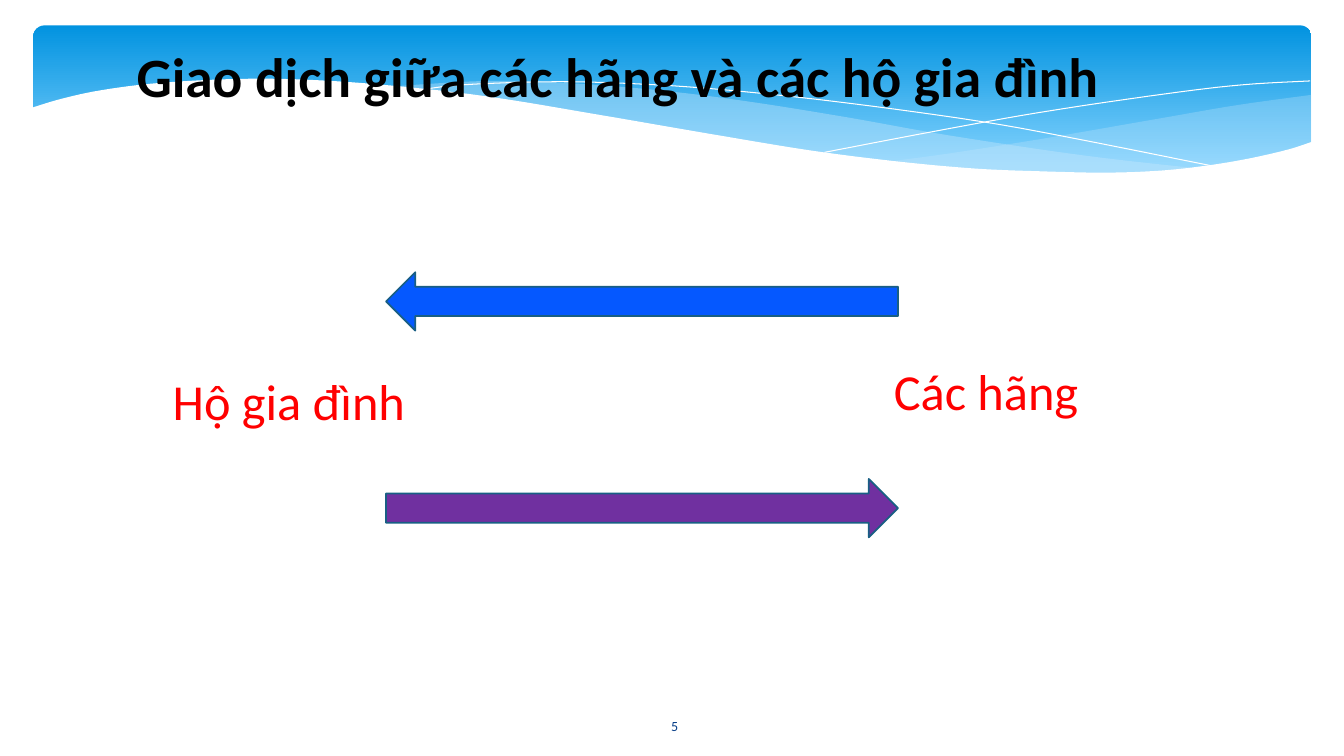
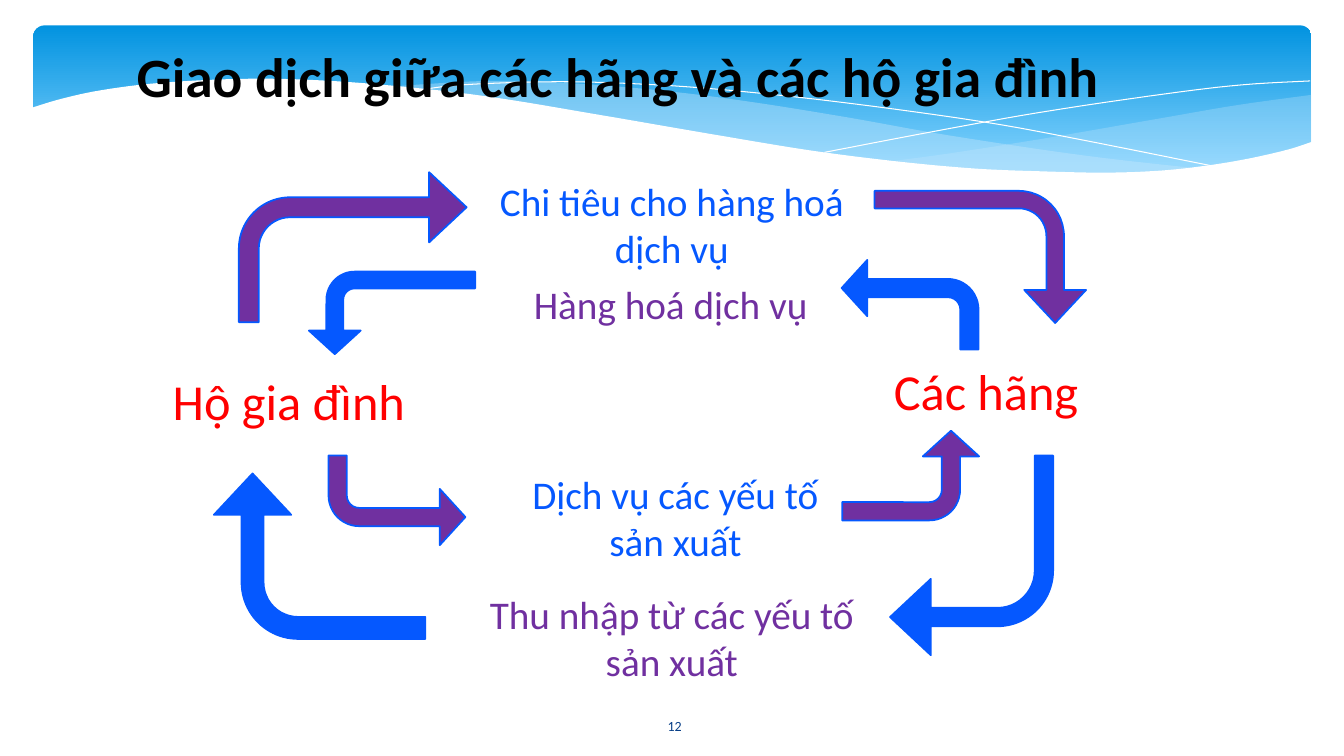
from lxml import etree
from pptx import Presentation
from pptx.dml.color import RGBColor
from pptx.enum.shapes import MSO_SHAPE
from pptx.enum.text import MSO_ANCHOR, PP_ALIGN
from pptx.oxml.ns import qn
from pptx.util import Cm, Pt

ROUNDED = MSO_SHAPE.ROUNDED_RECTANGLE
RIGHT_ARROW = MSO_SHAPE.RIGHT_ARROW
BENT_ARROW = MSO_SHAPE.BENT_ARROW
CENTER = PP_ALIGN.CENTER
TOP, MIDDLE = MSO_ANCHOR.TOP, MSO_ANCHOR.MIDDLE

FONT = "Calibri"
COLORS = {
    "band_top": "0293E0", "band_bottom": "83D3FE", "wave": "C6E7FC",
    "white": "FFFFFF", "black": "000000", "number": "073E87", "actor": "FF0000",
    "blue": "0558FF", "purple": "7030A0", "outline": "195F84",
}
TITLE = "Giao dịch giữa các hãng và các hộ gia đình"

# Boxes: left, top, width, height in centimetres
BAND_BOX = (0.84, 0.64, 32.21, 3.96)
TITLE_BOX = (-0.84, 0.94, 32.82, 1.7)
NUMBER_BOX = (14.86, 17.78, 4.29, 1.02)
DIAGRAM_BOX = (3.89, 4.34, 24.35, 13.06)

# Curves of the band, relative to its top left corner
RIGHT_WAVE = (
    [(32.21, 1.75), (30.33, 2.01), (28.3, 2.36), (25.53, 2.84), (23.06, 3.23),
     (21.56, 3.43)],
    [(21.56, 3.43), (23.5, 3.61), (25.6, 3.73), (27.43, 3.73), (28.98, 3.61),
     (30.61, 3.38), (32.21, 2.97)],
)
LEFT_WAVE = (
    [(29.39, 3.61), (26.49, 3.28), (23.06, 2.77), (20.47, 2.31), (17.96, 1.91),
     (15.72, 1.63), (13.39, 1.45), (11.4, 1.4), (8.86, 1.55)],
    [(8.86, 1.55), (11.43, 1.83), (14.38, 2.31), (17.09, 2.79), (19.53, 3.18),
     (21.69, 3.45), (23.62, 3.63), (25.32, 3.73), (27.2, 3.76), (29.39, 3.61)],
)
FALLING_LINE = [(9.63, 1.65), (10.8, 1.5), (13.26, 1.42), (15.72, 1.5), (18.01, 1.68),
                (20.7, 1.98), (23.8, 2.41), (26.09, 2.82), (29.9, 3.58)]
RISING_LINE = [(19.94, 3.2), (22.71, 2.67), (25.45, 2.18), (28.5, 1.73), (30.45, 1.5),
               (32.18, 1.4)]
PAGE_EDGE = [(-0.05, 2.08), (0.71, 1.85), (1.73, 1.63), (3.18, 1.45), (5.13, 1.35),
             (6.93, 1.37), (9.07, 1.52), (11.51, 1.8), (14.3, 2.26), (17.09, 2.74),
             (19.58, 3.15), (21.79, 3.43), (23.77, 3.61), (25.5, 3.68), (27.03, 3.71),
             (28.4, 3.66), (29.59, 3.53), (30.66, 3.35), (31.65, 3.12), (32.26, 2.92)]
PAGE_CORNERS = [(32.26, 5.05), (-0.05, 5.05)]

# Diagram parts, relative to the diagram box
ACTORS = [("Hộ gia đình", (0, 4.85, 6.78, 1.8)), ("Các hãng", (17.57, 4.6, 6.78, 1.8))]
STRAIGHT_ARROWS = [((5.84, 7.73, 12.9, 1.47), 0, "purple"),
                   ((5.84, 2.52, 12.9, 1.47), 180, "blue")]
FLOW_LABELS = [
    ("Dịch vụ các yếu tố sản xuất", (8.81, 7.39, 8.64, 2.64), "blue"),
    ("Thu nhập từ các yếu tố sản xuất", (7.87, 10.42, 10.34, 2.64), "purple"),
    ("Hàng hoá dịch vụ", (9.11, 2.59, 7.8, 1.45), "purple"),
    ("Chi tiêu cho hàng hoá dịch vụ", (7.87, 0, 10.34, 2.64), "blue"),
]
OUTER = (0.133, 0.234, 0.25, 0.342)
OUTER_THIN = (0.113, 0.234, 0.25, 0.342)
INNER = (0.204, 0.314, 0.286, 0.342)
# Box, rotation, colour, proportions, flipped upside down
BENT_ARROWS = [
    ((2.13, 0, 5.74, 3.78), 0, "purple", OUTER, False),
    ((19.15, -0.53, 3.33, 5.33), 90, "purple", OUTER, False),
    ((18.54, 7.14, 4.11, 5.03), 180, "blue", OUTER_THIN, False),
    ((2.08, 7.01, 4.17, 5.33), 270, "blue", OUTER, False),
    ((17.32, 2.21, 3.45, 2.26), 180, "blue", INNER, True),
    ((4.95, 1.45, 2.08, 4.19), 90, "blue", INNER, True),
    ((4.39, 7.14, 3.45, 2.26), 0, "purple", INNER, True),
    ((17.93, 5.92, 2.26, 3.45), 270, "purple", INNER, True),
]


def rgb(name):
    return RGBColor.from_string(COLORS[name])


def inside(box, part):
    """Move a part's box from the region's coordinates to the slide's."""
    return (box[0] + part[0], box[1] + part[1], part[2], part[3])


def smooth_curve(points, steps=6):
    """Sample a Catmull-Rom curve through the points."""
    padded = [points[0], *points, points[-1]]
    curve = []
    for a, b, c, d in zip(padded, padded[1:], padded[2:], padded[3:]):
        for step in range(steps):
            t = step / steps
            curve.append(tuple(
                0.5 * (2 * q + (r - p) * t + (2 * p - 5 * q + 4 * r - s) * t ** 2
                       + (3 * q - p - 3 * r + s) * t ** 3)
                for p, q, r, s in zip(a, b, c, d)))
    return curve + [points[-1]]


def add_text(slide, box, text, size, color, bold=False, anchor=TOP):
    shape = slide.shapes.add_textbox(*map(Cm, box))
    frame = shape.text_frame
    frame.word_wrap = True
    frame.vertical_anchor = anchor
    paragraph = frame.paragraphs[0]
    paragraph.alignment = CENTER
    run = paragraph.add_run()
    run.text = text
    run.font.name = FONT
    run.font.size = Pt(size)
    run.font.bold = bold
    run.font.color.rgb = rgb(color)


def add_outline(slide, box, points, closed=True):
    places = [(Cm(box[0] + x), Cm(box[1] + y)) for x, y in points]
    builder = slide.shapes.build_freeform(*places[0])
    builder.add_line_segments(places[1:], close=closed)
    shape = builder.convert_to_shape()
    shape.shadow.inherit = False
    return shape


def add_area(slide, box, points, color, opacity=100):
    shape = add_outline(slide, box, points)
    shape.fill.solid()
    shape.fill.fore_color.rgb = rgb(color)
    shape.line.fill.background()
    if opacity < 100:
        fill_color = shape.element.spPr.find(qn("a:solidFill")).find(qn("a:srgbClr"))
        etree.SubElement(fill_color, qn("a:alpha")).set("val", str(opacity * 1000))


def add_arrow(slide, kind, box, rotation, fill, line, proportions=(), flipped=False):
    shape = slide.shapes.add_shape(kind, *map(Cm, box))
    shape.shadow.inherit = False
    shape.rotation = rotation
    for index, value in enumerate(proportions):
        shape.adjustments[index] = value
    if flipped:
        shape.element.spPr.find(qn("a:xfrm")).set("flipV", "1")
    shape.fill.solid()
    shape.fill.fore_color.rgb = rgb(fill)
    shape.line.color.rgb = rgb(line)
    shape.line.width = Pt(1.25)


def draw_band(slide, box):
    # Gradient panel
    panel = slide.shapes.add_shape(ROUNDED, *map(Cm, box))
    panel.shadow.inherit = False
    panel.adjustments[0] = 0.071
    panel.line.fill.background()
    panel.fill.gradient()
    panel.fill.gradient_angle = 270
    stops = zip(panel.fill.gradient_stops, ("band_top", "band_bottom"), (0, 0.9))
    for stop, color, position in stops:
        stop.color.rgb = rgb(color)
        stop.position = position

    # Translucent waves
    for wave, opacity in ((RIGHT_WAVE, 29), (LEFT_WAVE, 40)):
        upper, lower = map(smooth_curve, wave)
        add_area(slide, box, upper + lower, "wave", opacity)

    # Hairlines
    for points in (FALLING_LINE, RISING_LINE):
        hairline = add_outline(slide, box, smooth_curve(points), closed=False)
        hairline.fill.background()
        hairline.line.color.rgb = rgb("white")
        hairline.line.width = Pt(0)

    # White page under the curved edge
    add_area(slide, box, smooth_curve(PAGE_EDGE) + PAGE_CORNERS, "white")


def draw_actors(slide, box):
    for text, part in ACTORS:
        add_text(slide, inside(box, part), text, 36, "actor")


def draw_exchange(slide, box):
    draw_actors(slide, box)
    for part, rotation, color in STRAIGHT_ARROWS:
        add_arrow(slide, RIGHT_ARROW, inside(box, part), rotation, color, "outline")


def draw_circular_flow(slide, box):
    draw_actors(slide, box)
    for text, part, color in FLOW_LABELS:
        add_text(slide, inside(box, part), text, 28, color)
    for part, rotation, color, proportions, flipped in BENT_ARROWS:
        add_arrow(slide, BENT_ARROW, inside(box, part), rotation, color, "blue",
                  proportions, flipped)


def add_slide(presentation, number, draw_diagram):
    slide = presentation.slides.add_slide(presentation.slide_layouts[6])
    draw_band(slide, BAND_BOX)
    add_text(slide, NUMBER_BOX, number, 10, "number", anchor=MIDDLE)
    add_text(slide, TITLE_BOX, TITLE, 39.6, "black", bold=True)
    draw_diagram(slide, DIAGRAM_BOX)


def main():
    presentation = Presentation()
    presentation.slide_width = Cm(33.87)
    presentation.slide_height = Cm(19.05)
    add_slide(presentation, "5", draw_exchange)
    add_slide(presentation, "12", draw_circular_flow)
    presentation.save("out.pptx")


if __name__ == "__main__":
    main()
